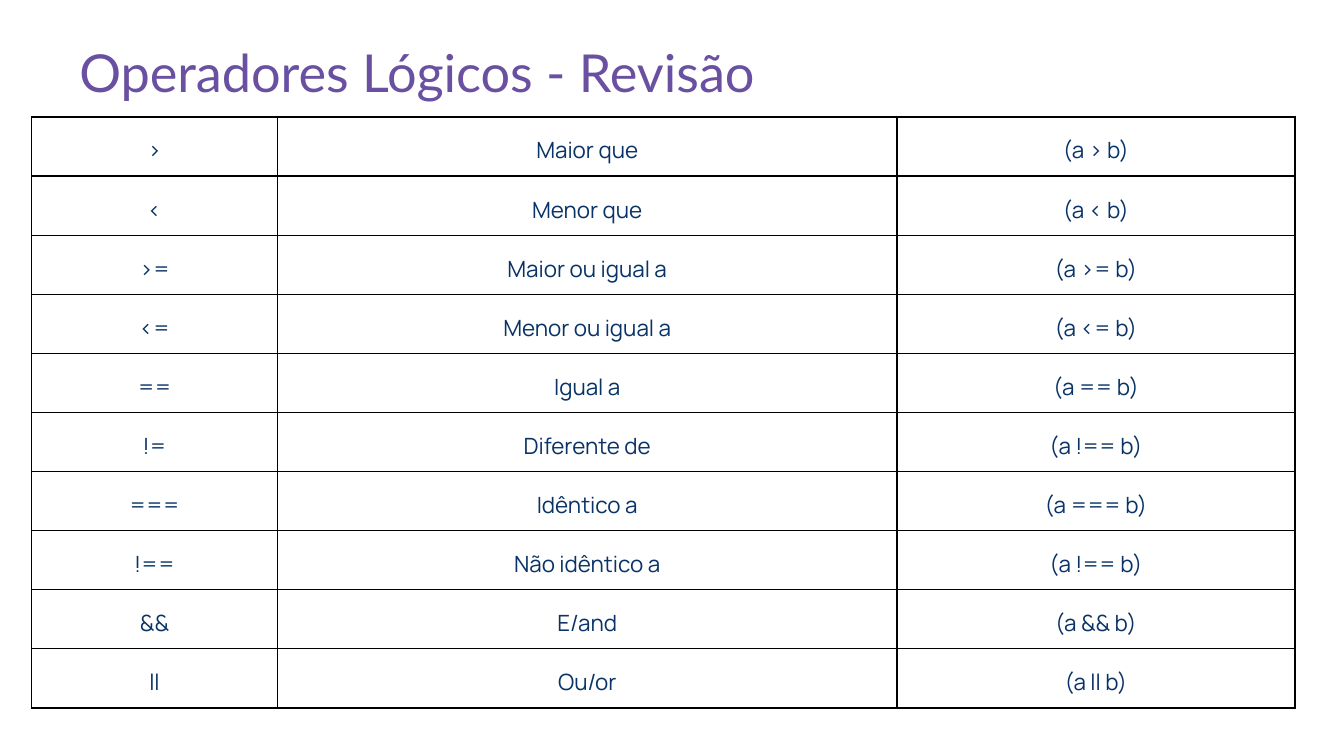
from lxml import etree
from pptx import Presentation
from pptx.dml.color import RGBColor
from pptx.enum.text import MSO_ANCHOR, MSO_AUTO_SIZE, PP_ALIGN
from pptx.oxml.ns import qn
from pptx.util import Pt

PX = 4572  # EMU per px, 200 px to the inch
LEFT, CENTER = PP_ALIGN.LEFT, PP_ALIGN.CENTER
TOP = MSO_ANCHOR.TOP
GROW = MSO_AUTO_SIZE.SHAPE_TO_FIT_TEXT
COLORS = {"title": "6950A1", "text": "093366", "border": "000000"}
INSET = 20
BORDER_WIDTH = Pt(0.75)
TITLE_ONLY_LAYOUT = 5

COLUMN_WIDTHS = [366, 922, 592]
OPERATORS = [
    (">", "Maior que", "(a > b)"),
    ("<", "Menor que", "(a < b)"),
    (">=", "Maior ou igual a", "(a >= b)"),
    ("<=", "Menor ou igual a", "(a <= b)"),
    ("==", "Igual a", "(a == b)"),
    ("!=", "Diferente de", "(a !== b)"),
    ("===", "Idêntico a", "(a === b)"),
    ("!==", "Não idêntico a", "(a !== b)"),
    ("&&", "E/and", "(a && b)"),
    ("ll", "Ou/or", "(a ll b)"),
]


def set_margins(target):
    target.margin_left = target.margin_right = INSET * PX
    target.margin_top = target.margin_bottom = INSET * PX


def add_run(paragraph, text, font, size, color):
    run = paragraph.add_run()
    run.text = text
    run.font.name = font
    run.font.size = Pt(size)
    run.font.color.rgb = RGBColor.from_string(COLORS[color])


def add_borders(cell):
    properties = cell._tc.get_or_add_tcPr()
    for position, side in enumerate(("lnL", "lnR", "lnT", "lnB")):
        line = etree.Element(qn(f"a:{side}"), w=str(BORDER_WIDTH))
        fill = etree.SubElement(line, qn("a:solidFill"))
        etree.SubElement(fill, qn("a:srgbClr"), val=COLORS["border"])
        properties.insert(position, line)


def place_title(slide, left, top, width, height, text):
    title = slide.shapes.title
    title.left, title.top = left * PX, top * PX
    title.width, title.height = width * PX, height * PX
    frame = title.text_frame
    set_margins(frame)
    frame.word_wrap = True
    frame.auto_size = GROW
    frame.vertical_anchor = TOP
    paragraph = frame.paragraphs[0]
    paragraph.alignment = LEFT
    add_run(paragraph, text, "Lato", 28, "title")


def fill_cell(cell, text):
    cell.fill.background()
    set_margins(cell)
    cell.vertical_anchor = TOP
    paragraph = cell.text_frame.paragraphs[0]
    paragraph.alignment = CENTER
    paragraph.line_spacing = 1.15
    add_run(paragraph, text, "Manrope", 12, "text")
    add_borders(cell)


def place_operator_table(slide, left, top, row_height):
    frame = slide.shapes.add_table(
        len(OPERATORS), len(COLUMN_WIDTHS), left * PX, top * PX,
        sum(COLUMN_WIDTHS) * PX, len(OPERATORS) * row_height * PX)
    table = frame.table
    table.first_row = False
    table.horz_banding = False
    for column, width in zip(table.columns, COLUMN_WIDTHS):
        column.width = width * PX
    for row, texts in zip(table.rows, OPERATORS):
        row.height = row_height * PX
        for cell, text in zip(row.cells, texts):
            fill_cell(cell, text)


def main():
    presentation = Presentation()
    presentation.slide_width = 2000 * PX
    presentation.slide_height = 1125 * PX
    layout = presentation.slide_layouts[TITLE_ONLY_LAYOUT]
    slide = presentation.slides.add_slide(layout)

    # Heading
    place_title(slide, 98, 40, 1802, 134, "Operadores Lógicos - Revisão")
    # Operator, meaning and example
    place_operator_table(slide, 47, 174, 88)

    presentation.save("out.pptx")


if __name__ == "__main__":
    main()
